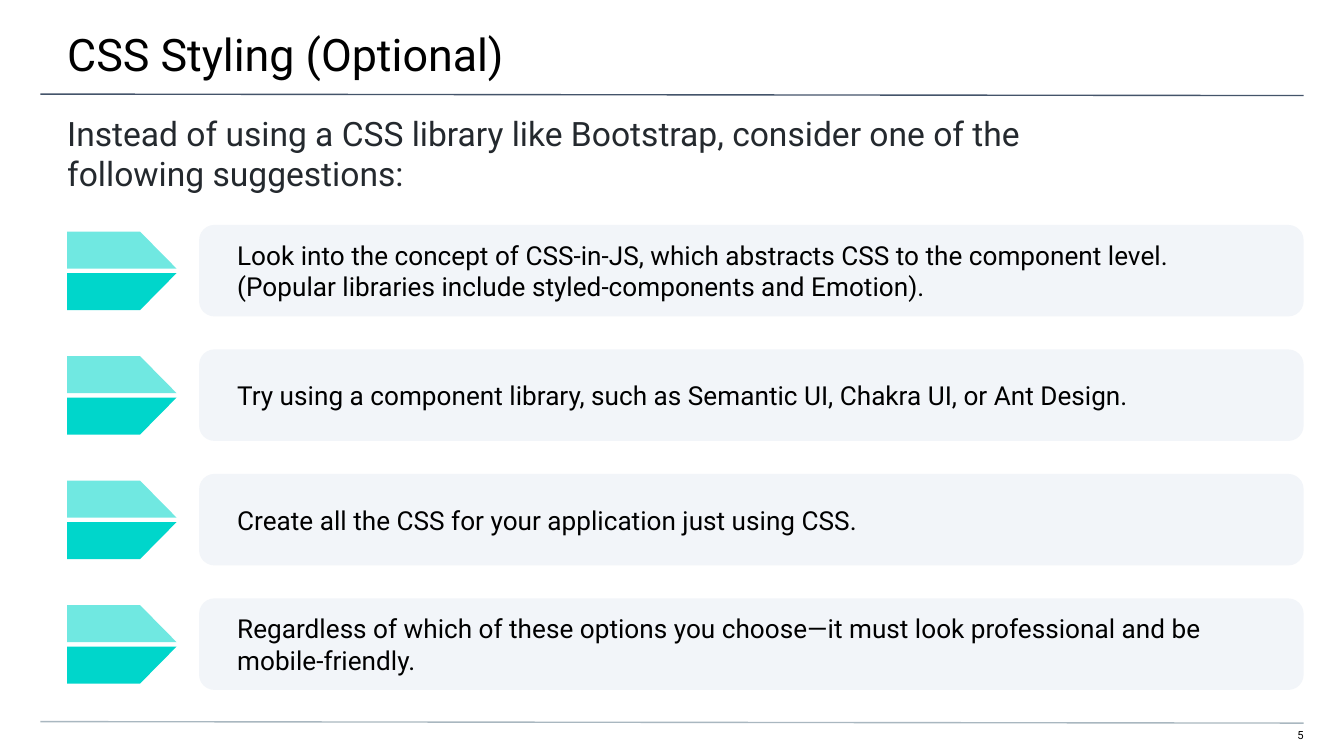
import copy

import pptx
import pptx.dml.color
import pptx.enum.shapes
import pptx.enum.text
import pptx.oxml
import pptx.oxml.ns
import pptx.util

Pt = pptx.util.Pt
RGBColor = pptx.dml.color.RGBColor
ANCHOR = pptx.enum.text.MSO_ANCHOR
ALIGN = pptx.enum.text.PP_ALIGN
SHAPE = pptx.enum.shapes.MSO_SHAPE
CONNECTOR = pptx.enum.shapes.MSO_CONNECTOR

BLACK = RGBColor(0x00, 0x00, 0x00)
CHARCOAL = RGBColor(0x24, 0x29, 0x2E)
NAVY = RGBColor(0x44, 0x54, 0x6A)
GREY = RGBColor(0xA9, 0xB7, 0xC0)
TEAL = RGBColor(0x00, 0xD6, 0xCB)
PALE = RGBColor(0xF2, 0xF5, 0xF9)

FONT = "Roboto"
SUGGESTIONS = [
    "Look into the concept of CSS-in-JS, which abstracts CSS to the component level.\n"
    "(Popular libraries include styled-components and Emotion).",
    "Try using a component library, such as Semantic UI, Chakra UI, or Ant Design.",
    "Create all the CSS for your application just using CSS.",
    "Regardless of which of these options you choose—it must look professional "
    "and be mobile-friendly.",
]


def write_text(shape, text, size, color=BLACK, align=ALIGN.LEFT,
               anchor=ANCHOR.TOP, insets=(0, 0, 0, 0)):
    """Fill a shape with one paragraph; newlines become line breaks."""
    frame = shape.text_frame
    frame.word_wrap = True
    frame.vertical_anchor = anchor
    (frame.margin_left, frame.margin_top,
     frame.margin_right, frame.margin_bottom) = [Pt(inset) for inset in insets]
    para = frame.paragraphs[0]
    para.alignment = align
    for index, line in enumerate(text.split("\n")):
        if index:
            # The break takes the size of the text before it
            para.add_line_break()
            para._p[-1].append(copy.deepcopy(span._r.rPr))
        span = para.add_run()
        span.text = line
        span.font.name = FONT
        span.font.size = Pt(size)
        span.font.color.rgb = color


def add_text(page, box, text, **text_format):
    shape = page.shapes.add_textbox(*[Pt(length) for length in box])
    write_text(shape, text, **text_format)


def add_rule(page, left, top, width, color):
    """Draw a thin, very slightly sloping rule."""
    rule = page.shapes.add_connector(
        CONNECTOR.STRAIGHT, Pt(left), Pt(top), Pt(left + width), Pt(top + 0.8))
    rule.line.color.rgb = color
    rule.line.width = Pt(0.75)
    rule._element.spPr.append(pptx.oxml.parse_xml(
        "<a:effectLst %s/>" % pptx.oxml.ns.nsdecls("a")))


def add_outline(page, points, color, alpha=100):
    builder = page.shapes.build_freeform(Pt(points[0][0]), Pt(points[0][1]))
    builder.add_line_segments([(Pt(x), Pt(y)) for x, y in points[1:]])
    shape = builder.convert_to_shape()
    shape.shadow.inherit = False
    shape.line.fill.background()
    shape.fill.solid()
    shape.fill.fore_color.rgb = color
    if alpha < 100:
        fill = shape._element.spPr.find(pptx.oxml.ns.qn("a:solidFill"))
        fill[0].append(pptx.oxml.parse_xml(
            '<a:alpha %s val="%d"/>' % (pptx.oxml.ns.nsdecls("a"), alpha * 1000)))


def add_arrow(page, left, top, width, height):
    """Two mirrored halves with a narrow gap between them."""
    half = 19.8
    shoulder = left + width * 2 / 3
    tip = left + width
    bottom = top + height
    for edge, middle, alpha in ((top, top + half, 56), (bottom, bottom - half, 100)):
        add_outline(page, [(left, edge), (left, middle), (tip, middle),
                           (shoulder, edge)], TEAL, alpha)


def add_suggestion(page, left, top, width, height, text):
    """One row: a split arrow and a rounded card."""
    add_arrow(page, left, top + 3.6, 58.6, 42)
    card_left = left + 70.7
    card = page.shapes.add_shape(
        SHAPE.ROUNDED_RECTANGLE, Pt(card_left), Pt(top),
        Pt(left + width - card_left), Pt(height))
    card.adjustments[0] = 0.167
    card.shadow.inherit = False
    card.fill.solid()
    card.fill.fore_color.rgb = PALE
    card.line.fill.background()
    write_text(card, text, size=14, anchor=ANCHOR.MIDDLE,
               insets=(18, 7.2, 7.2, 7.2))


def add_header(page, left, top, width):
    add_text(page, (left, top, width, 41.8), "CSS Styling (Optional)",
             size=24, insets=(36, 14.4, 21.6, 7.2))
    add_rule(page, left + 21.6, top + 50.4, width - 43.2, NAVY)
    add_text(page, (left, top + 53.3, width, 50),
             "Instead of using a CSS library like Bootstrap, consider one of the\n"
             "following suggestions:",
             size=18, color=CHARCOAL, insets=(36, 7.2, 36, 0))


def add_footer(page, left, top, width):
    add_rule(page, left, top, width, GREY)
    add_text(page, (left + width - 21, top + 3.6, 21, 8.6), "5", size=6,
             align=ALIGN.RIGHT, insets=(0, 0, 0, 7.2))


def main():
    deck = pptx.Presentation()
    deck.slide_width = Pt(720)
    deck.slide_height = Pt(405)
    page = deck.slides.add_slide(deck.slide_layouts[6])

    add_header(page, 0, 0, 720)
    for row, text in enumerate(SUGGESTIONS):
        add_suggestion(page, 36, 120.5 + row * 66.7, 662.4, 49, text)
    add_footer(page, 21.6, 386.6, 676.8)

    deck.save("out.pptx")


if __name__ == "__main__":
    main()
